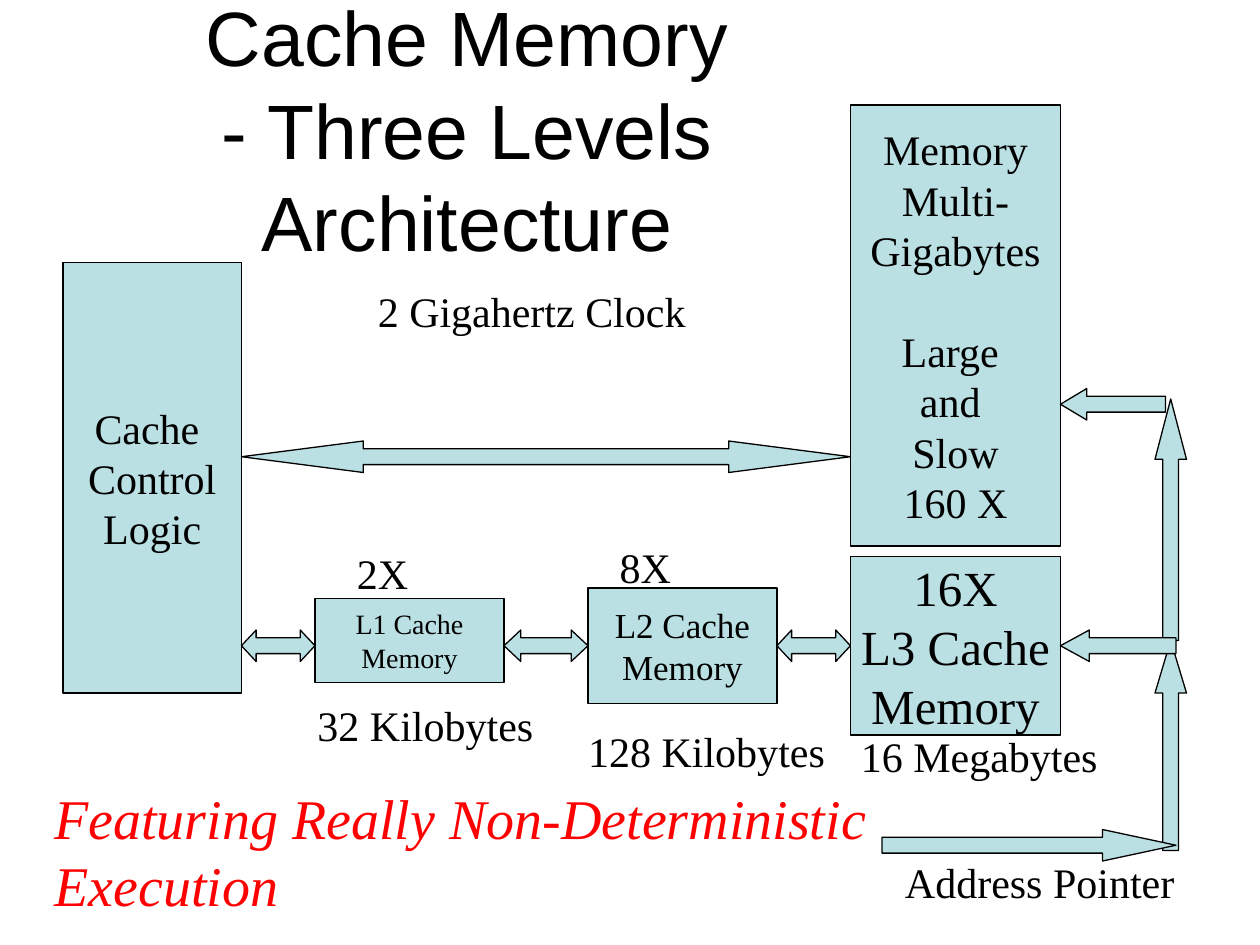
from pptx import Presentation
from pptx.dml.color import RGBColor
from pptx.enum.shapes import MSO_SHAPE
from pptx.enum.text import MSO_ANCHOR, PP_ALIGN
from pptx.util import Pt

BLACK = RGBColor(0x00, 0x00, 0x00)
RED = RGBColor(0xFF, 0x00, 0x00)
PALE_TEAL = RGBColor(0xBB, 0xE0, 0xE3)
SERIF, SANS = "Times New Roman", "Arial"
RECTANGLE = MSO_SHAPE.RECTANGLE
UP, LEFT, RIGHT = MSO_SHAPE.UP_ARROW, MSO_SHAPE.LEFT_ARROW, MSO_SHAPE.RIGHT_ARROW
BOTH_WAYS = MSO_SHAPE.LEFT_RIGHT_ARROW
MIDDLE, TOP = MSO_ANCHOR.MIDDLE, MSO_ANCHOR.TOP
CENTER, LEFT_ALIGNED = PP_ALIGN.CENTER, PP_ALIGN.LEFT
ARROW_THICKNESS = 18


def write(frame, text, size, align, anchor, wrap, font=SERIF, color=BLACK, italic=False):
    frame.text = text
    frame.word_wrap = wrap
    frame.vertical_anchor = anchor
    for paragraph in frame.paragraphs:
        paragraph.alignment = align
        for run in paragraph.runs:
            run.font.name = font
            run.font.size = Pt(size)
            run.font.color.rgb = color
            run.font.italic = italic


def add_label(slide, text, left, top, width, height=36, size=24,
              align=LEFT_ALIGNED, anchor=TOP, wrap=False, **style):
    label = slide.shapes.add_textbox(Pt(left), Pt(top), Pt(width), Pt(height))
    write(label.text_frame, text, size, align, anchor, wrap, **style)


def add_teal_shape(slide, preset, left, top, width, height):
    shape = slide.shapes.add_shape(preset, Pt(left), Pt(top), Pt(width), Pt(height))
    shape.shadow.inherit = False
    shape.fill.solid()
    shape.fill.fore_color.rgb = PALE_TEAL
    shape.line.color.rgb = BLACK
    shape.line.width = Pt(0.75)
    return shape


def add_block(slide, text, left, top, width, height, size=24):
    block = add_teal_shape(slide, RECTANGLE, left, top, width, height)
    write(block.text_frame, text, size, CENTER, MIDDLE, False)
    return block


def add_arrow(slide, preset, left, top, length):
    """Head takes a fifth of the length on two-way arrows, a quarter on others."""
    size = (ARROW_THICKNESS, length) if preset == UP else (length, ARROW_THICKNESS)
    arrow = add_teal_shape(slide, preset, left, top, *size)
    head_share = 0.2 if preset == BOTH_WAYS else 0.25
    arrow.adjustments[0] = 0.5
    arrow.adjustments[1] = head_share * length / ARROW_THICKNESS


def draw_headings(slide, left, top, width):
    add_label(slide, "Cache Memory\v- Three Levels\vArchitecture", left, top, width, 165.6,
              size=44, align=CENTER, anchor=MIDDLE, wrap=True, font=SANS)
    add_label(slide, "2 Gigahertz Clock", left + 154.8, top + 168.8, 200)


def draw_main_memory(slide, left, top, width, height):
    memory = add_block(slide, "Memory\nMulti-\nGigabytes\nLarge \nand \nSlow\n160 X",
                       left, top, width, height)
    memory.text_frame.paragraphs[3].space_before = Pt(28.8)


def draw_cache_levels(slide, left, top, width):
    """Chain of caches along one axis, each reached by a two-way arrow."""
    # text, size, offset from left, rise above axis, width, height
    levels = [
        ("L1 Cache\nMemory", 16, 42, 27, 108, 48),
        ("L2 Cache\nMemory", 20, 198, 33, 108, 66),
        ("16X\nL3 Cache\nMemory", 28, 348, 51, width - 348, 102),
    ]
    axis = top + 51
    arrow_start = left
    for text, size, offset, rise, block_width, height in levels:
        block_left = left + offset
        add_block(slide, text, block_left, axis - rise, block_width, height, size)
        add_arrow(slide, BOTH_WAYS, arrow_start, axis - ARROW_THICKNESS / 2,
                  block_left - arrow_start)
        arrow_start = block_left + block_width

    captions = [
        ("2X", 58.8, -8.5, 46),
        ("8X", 209, -12, 46),
        ("32 Kilobytes", 36.3, 78, 142),
        ("128 Kilobytes", 191, 93.3, 154),
        ("16 Megabytes", 346.8, 96, 154),
    ]
    for text, dx, dy, caption_width in captions:
        add_label(slide, text, left + dx, top + dy, caption_width)


def draw_address_path(slide, left, top):
    """Pointer that runs right, then up to the L3 cache and main memory."""
    riser = left + 156
    memory_port = left + 102
    add_arrow(slide, UP, riser, top + 144, 120)
    add_arrow(slide, RIGHT, left, top + 252, 168)
    add_arrow(slide, UP, riser, top + 6, 138)
    add_arrow(slide, LEFT, memory_port, top, 60)
    add_arrow(slide, LEFT, memory_port, top + 138, 66)
    add_label(slide, "Address Pointer", left + 6, top + 264, 176)


def main():
    presentation = Presentation()
    presentation.slide_width, presentation.slide_height = Pt(720), Pt(540)
    slide = presentation.slides.add_slide(presentation.slide_layouts[6])

    draw_headings(slide, 54, -9.4, 426)
    draw_main_memory(slide, 486, 60, 120, 252)
    add_block(slide, "Cache \nControl\nLogic", 36, 150, 102, 246)
    add_arrow(slide, BOTH_WAYS, 138, 252, 348)
    draw_cache_levels(slide, 138, 318, 468)
    draw_address_path(slide, 504, 222)
    add_label(slide, "Featuring Really Non-Deterministic Execution", 24, 444, 516, 84,
              size=32, wrap=True, color=RED, italic=True)

    presentation.save("out.pptx")


if __name__ == "__main__":
    main()
